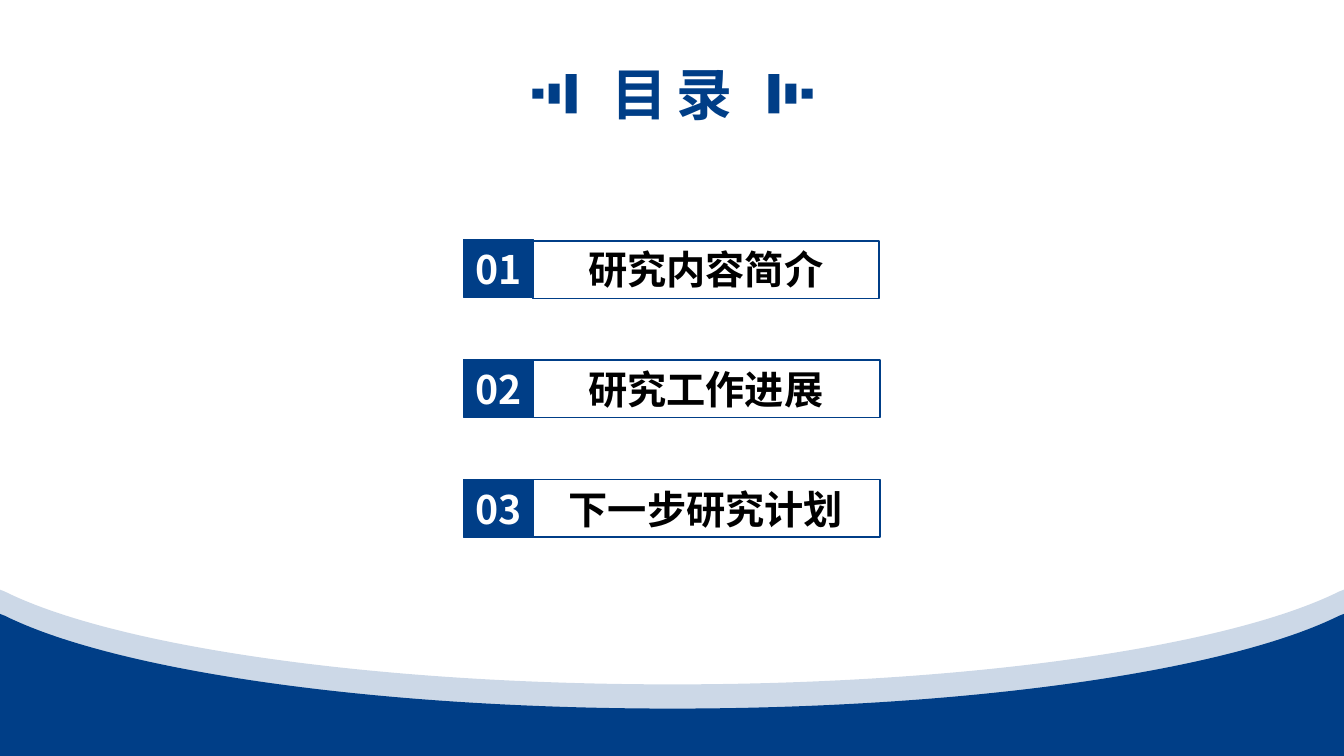
from lxml.etree import SubElement
from pptx import Presentation
from pptx.dml.color import RGBColor
from pptx.enum.shapes import MSO_SHAPE as Shape
from pptx.enum.text import MSO_ANCHOR as Anchor, MSO_AUTO_SIZE as AutoSize, PP_ALIGN as Align
from pptx.oxml.ns import qn
from pptx.util import Inches, Pt

BLUE = RGBColor(0x00, 0x3E, 0x87)
BLACK = RGBColor(0x00, 0x00, 0x00)
WHITE = RGBColor(0xFF, 0xFF, 0xFF)
FONT = "Noto Sans CJK SC"

deck = Presentation()
deck.slide_width, deck.slide_height = Inches(13.33), Inches(7.5)
page = deck.slides.add_slide(deck.slide_layouts[6])


def write(box, text, size, color, spacing=0):
    frame = box.text_frame
    frame.word_wrap = False
    frame.auto_size = AutoSize.SHAPE_TO_FIT_TEXT
    frame.vertical_anchor = Anchor.MIDDLE
    para = frame.paragraphs[0]
    para.text = text
    para.alignment = Align.CENTER
    font = para.font
    font.name, font.size, font.bold = FONT, Pt(size), True
    font.color.rgb = color
    for props in para._p.iter(qn("a:defRPr")):
        SubElement(props, qn("a:ea")).set("typeface", FONT)
        if spacing:
            props.set("spc", str(spacing * 100))


def add_rect(left, top, width, height, fill=None, line=None):
    rect = page.shapes.add_shape(
        Shape.RECTANGLE, Inches(left), Inches(top), Inches(width), Inches(height))
    rect.shadow.inherit = False
    if fill is None:
        rect.fill.background()
    else:
        rect.fill.solid()
        rect.fill.fore_color.rgb = fill
    if line is None:
        rect.line.fill.background()
    else:
        rect.line.color.rgb = BLUE
        rect.line.width = Pt(line)
    return rect


heading = page.shapes.add_textbox(Inches(5.92), Inches(0.54), Inches(1.49), Inches(0.77))
write(heading, "目录", 40, BLUE, spacing=6)

BAR = 0.11
for bar_left, height in ((5.61, 0.39), (5.44, 0.2), (5.28, 0.1)):
    for left in (bar_left, 13.34 - BAR - bar_left):
        add_rect(left, 0.93 - height / 2, BAR, height, BLUE)

WAVE = [
    (0.05, 0.02),
    (1.14, 0.56), (3.69, 0.94), (6.67, 0.94),
    (9.64, 0.94), (12.19, 0.56), (13.28, 0.02),
    (13.33, 0), (13.33, 1.47), (0, 1.47),
]
for top, alpha in ((5.85, 20), (6.09, 100)):
    builder = page.shapes.build_freeform(0, Inches(top))
    builder.add_line_segments([(Inches(x), Inches(top + y)) for x, y in WAVE], close=True)
    wave = builder.convert_to_shape()
    wave.shadow.inherit = False
    wave.fill.solid()
    wave.fill.fore_color.rgb = BLUE
    wave.line.fill.background()
    segments = list(wave._element.iter(qn("a:lnTo")))
    for start in (1, 4):
        curve = segments[start]
        curve.tag = qn("a:cubicBezTo")
        for segment in segments[start + 1:start + 3]:
            curve.append(segment[0])
            segment.getparent().remove(segment)
    if alpha < 100:
        for color in wave._element.spPr.iter(qn("a:srgbClr")):
            SubElement(color, qn("a:alpha")).set("val", str(alpha * 1000))

TOPICS = [
    ("研究内容简介", 5.28, 2.39, 2.56),
    ("研究工作进展", 5.29, 3.57, 2.56),
    ("下一步研究计划", 5.29, 4.76, 2.92),
]
for index, (topic, frame_left, frame_top, width) in enumerate(TOPICS):
    top = 2.38 + index * 1.19
    add_rect(frame_left, frame_top, 3.44, 0.57, line=1)
    label = page.shapes.add_textbox(
        Inches(7 - width / 2), Inches(top), Inches(width), Inches(0.57))
    write(label, topic, 28, BLACK)
    number = add_rect(4.6, top, 0.69, 0.57, BLUE, 0.75)
    write(number, f"{index + 1:02}", 28, WHITE)

deck.save("out.pptx")
